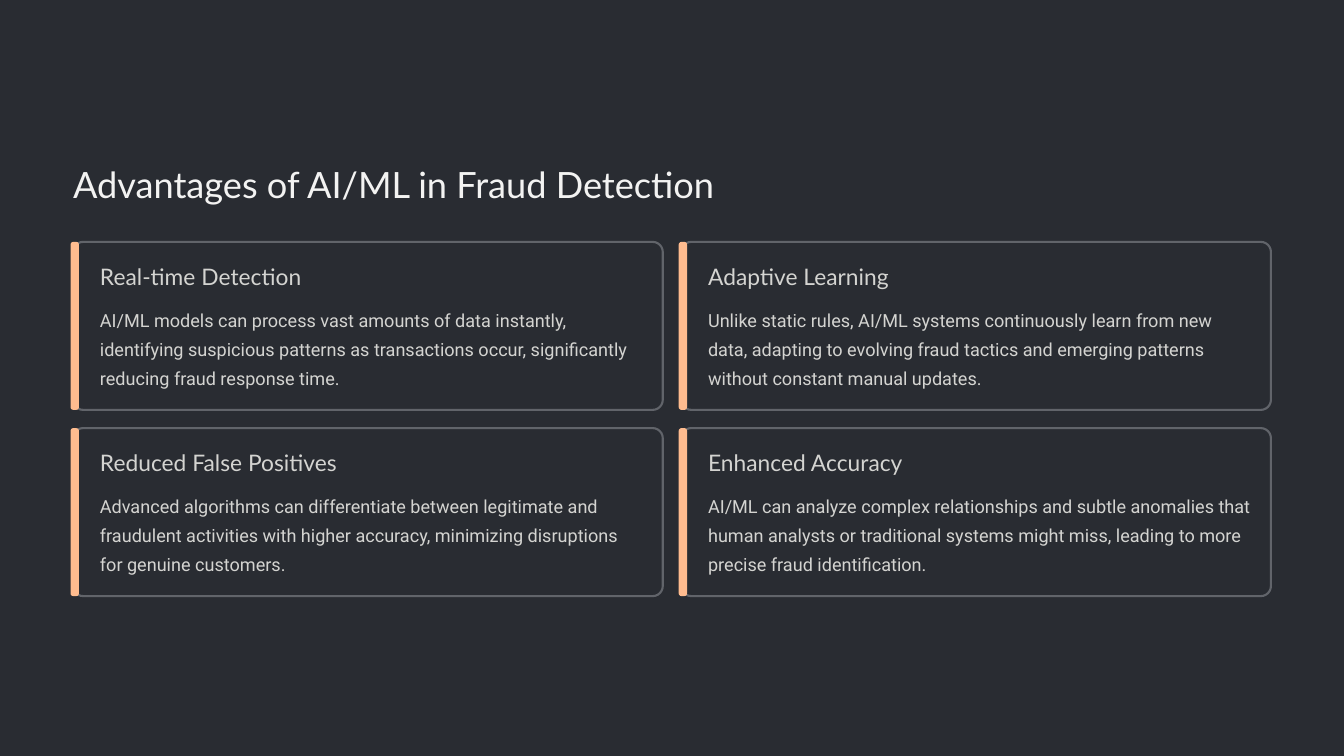
from typing import NamedTuple

from pptx import Presentation
from pptx.dml.color import RGBColor
from pptx.enum.shapes import MSO_SHAPE
from pptx.util import Pt

ROUNDED = MSO_SHAPE.ROUNDED_RECTANGLE
COLORS = {
    "background": "292C32",
    "border": "61646A",
    "accent": "FFBC8F",
    "title": "F3F3F2",
    "text": "D4D4D1",
}
LEFT, TOP = 62.64, 207.36
CARD_W, CARD_H = 505.44, 144
PITCH_X, PITCH_Y = 521.28, 159.6
COLUMNS = 2


class Card(NamedTuple):
    heading: str
    body: str


CARDS = [
    Card("Real-time Detection",
         "AI/ML models can process vast amounts of data instantly, identifying "
         "suspicious patterns as transactions occur, significantly reducing "
         "fraud response time."),
    Card("Adaptive Learning",
         "Unlike static rules, AI/ML systems continuously learn from new data, "
         "adapting to evolving fraud tactics and emerging patterns without "
         "constant manual updates."),
    Card("Reduced False Positives",
         "Advanced algorithms can differentiate between legitimate and "
         "fraudulent activities with higher accuracy, minimizing disruptions "
         "for genuine customers."),
    Card("Enhanced Accuracy",
         "AI/ML can analyze complex relationships and subtle anomalies that "
         "human analysts or traditional systems might miss, leading to more "
         "precise fraud identification."),
]


def rgb(name: str) -> RGBColor:
    return RGBColor.from_string(COLORS[name])


def add_text(s, text: str, *, x: float, y: float, w: float, h: float,
             size: float, spacing: float, font: str = "Lato",
             color: str = "text", wrap: bool = False) -> None:
    tf = s.shapes.add_textbox(Pt(x), Pt(y), Pt(w), Pt(h)).text_frame
    tf.margin_left = tf.margin_top = tf.margin_right = tf.margin_bottom = 0
    tf.word_wrap = wrap
    p = tf.paragraphs[0]
    p.line_spacing = Pt(spacing)
    r = p.add_run()
    r.text = text
    r.font.name = font
    r.font.size = Pt(size)
    r.font.color.rgb = rgb(color)


def add_rounded(s, x: float, y: float, w: float, h: float, radius: float,
                fill: str, line: str | None = None) -> None:
    sp = s.shapes.add_shape(ROUNDED, Pt(x), Pt(y), Pt(w), Pt(h))
    sp.adjustments[0] = radius
    sp.shadow.inherit = False
    sp.fill.solid()
    sp.fill.fore_color.rgb = rgb(fill)
    if line:
        sp.line.color.rgb = rgb(line)
        sp.line.width = Pt(1.8)
    else:
        sp.line.fill.background()


def add_card(s, card: Card, x: float, y: float) -> None:
    add_rounded(s, x, y, CARD_W, CARD_H, 0.06, "background", "border")
    add_rounded(s, x - 2.16, y, 7.2, CARD_H, 0.33, "accent")
    add_text(s, card.heading, x=x + 23.04, y=y + 17.5, w=215, h=24.5,
             size=19.5, spacing=24)
    add_text(s, card.body, x=x + 23.04, y=y + 51.4, w=465, h=75,
             size=15.5, spacing=25, font="Roboto", wrap=True)


def main() -> None:
    prs = Presentation()
    prs.slide_width, prs.slide_height = Pt(1152), Pt(648)
    s = prs.slides.add_slide(prs.slide_layouts[6])
    s.background.fill.solid()
    s.background.fill.fore_color.rgb = rgb("background")
    add_text(s, "Advantages of AI/ML in Fraud Detection", x=LEFT, y=137.5,
             w=569, h=39, size=31, spacing=39, color="title")
    for i, card in enumerate(CARDS):
        row, col = divmod(i, COLUMNS)
        add_card(s, card, LEFT + col * PITCH_X, TOP + row * PITCH_Y)
    prs.save("out.pptx")


if __name__ == "__main__":
    main()
